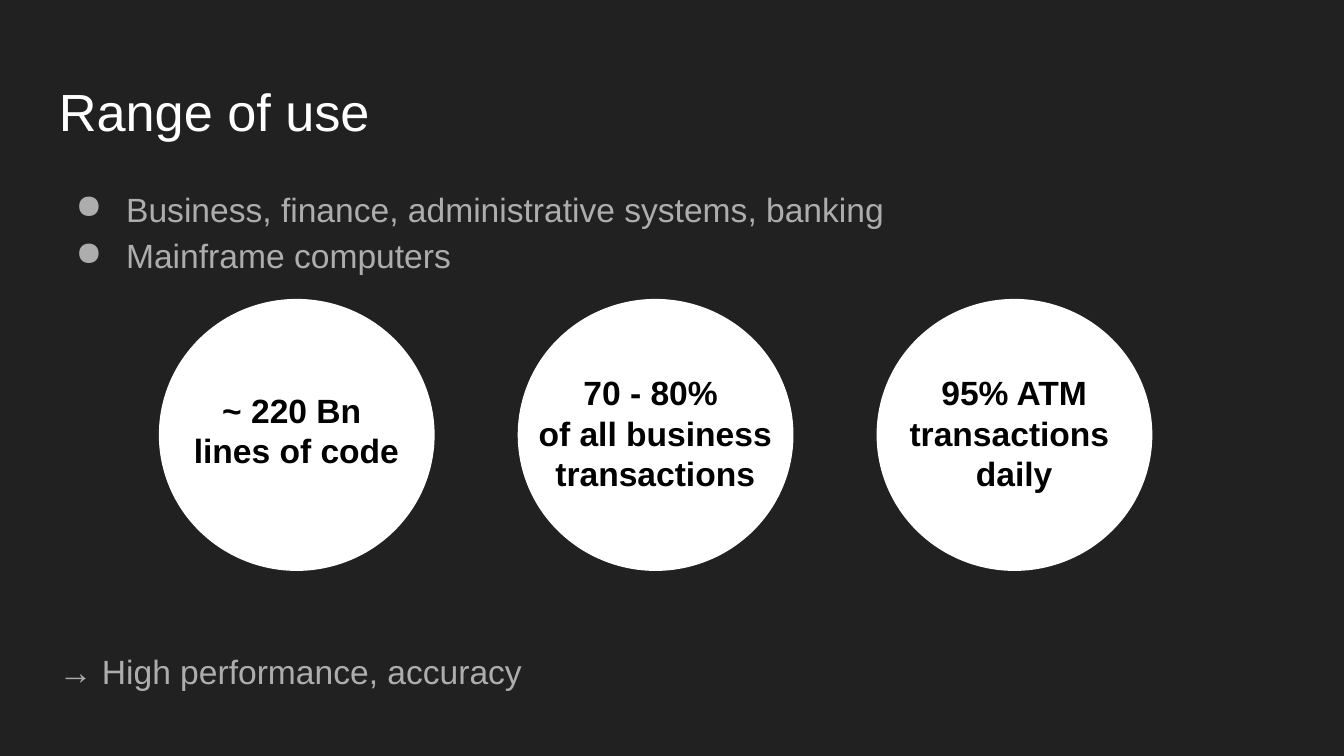
import pptx
import pptx.util
import pptx.dml.color
import pptx.enum.shapes
import pptx.enum.text
import lxml.etree

Pt = pptx.util.Pt
INK = {"back": "212121", "white": "FFFFFF", "gray": "ADADAD", "black": "000000"}


def tint(name):
    return pptx.dml.color.RGBColor.from_string(INK[name])


class Deck:
    font = "Arial"
    inset = 7.2

    def __init__(self, wide, high):
        self.file = pptx.Presentation()
        self.file.slide_width = Pt(wide)
        self.file.slide_height = Pt(high)
        self.slide = self.file.slides.add_slide(self.file.slide_layouts[6])
        fill = self.slide.background.fill
        fill.solid()
        fill.fore_color.rgb = tint("back")

    def text(self, home, box, words, size, color, bold=False, align="LEFT"):
        frame = home.add_textbox(*map(Pt, box)).text_frame
        frame.word_wrap = True
        frame.margin_left = frame.margin_right = Pt(self.inset)
        frame.margin_top = frame.margin_bottom = Pt(self.inset)
        frame.text = words
        for para in frame.paragraphs:
            para.alignment = getattr(pptx.enum.text.PP_ALIGN, align)
            for run in para.runs:
                run.font.name = self.font
                run.font.size = Pt(size)
                run.font.bold = bold
                run.font.color.rgb = tint(color)
        return frame.paragraphs

    def bullet(self, para, color):
        para.line_spacing = 1.15
        props = para._p.get_or_add_pPr()
        props.set("marL", str(Pt(36)))
        props.set("indent", str(Pt(-27)))
        paint = lxml.etree.SubElement(props, pptx.oxml.ns.qn("a:buClr"))
        lxml.etree.SubElement(paint, pptx.oxml.ns.qn("a:srgbClr"), val=INK[color])
        lxml.etree.SubElement(props, pptx.oxml.ns.qn("a:buChar"), char="●")

    def badge(self, left, words, top, high):
        group = self.slide.shapes.add_group_shape()
        oval = group.shapes.add_shape(
            pptx.enum.shapes.MSO_SHAPE.OVAL, Pt(left), Pt(160.5), Pt(147), Pt(145))
        oval.shadow.inherit = False
        oval.fill.solid()
        oval.fill.fore_color.rgb = tint("white")
        oval.line.color.rgb = tint("white")
        oval.line.width = Pt(0.75)
        box = (left - 22.8, top, 192.24, high)
        self.text(group.shapes, box, words, 18, "black", True, "CENTER")


def main():
    deck = Deck(720, 405)
    shapes = deck.slide.shapes
    *points, result = deck.text(
        shapes, (24.5, 90.7, 671, 298.8),
        "Business, finance, administrative systems, banking\n"
        "Mainframe computers\n→ High performance, accuracy", 18, "gray")
    for point in points:
        deck.bullet(point, "gray")
    result.space_before = Pt(201)
    deck.text(shapes, (24.5, 35.3, 671, 45.4), "Range of use", 28, "white")

    facts = [
        ("~ 220 Bn \nlines of code", 201.6, 63.4),
        ("70 - 80% \nof all business transactions", 192.2, 82),
        ("95% ATM transactions \ndaily", 192.2, 82),
    ]
    for col, (words, top, high) in enumerate(facts):
        deck.badge(85.5 + col * 192.24, words, top, high)
    deck.file.save("out.pptx")


if __name__ == "__main__":
    main()
